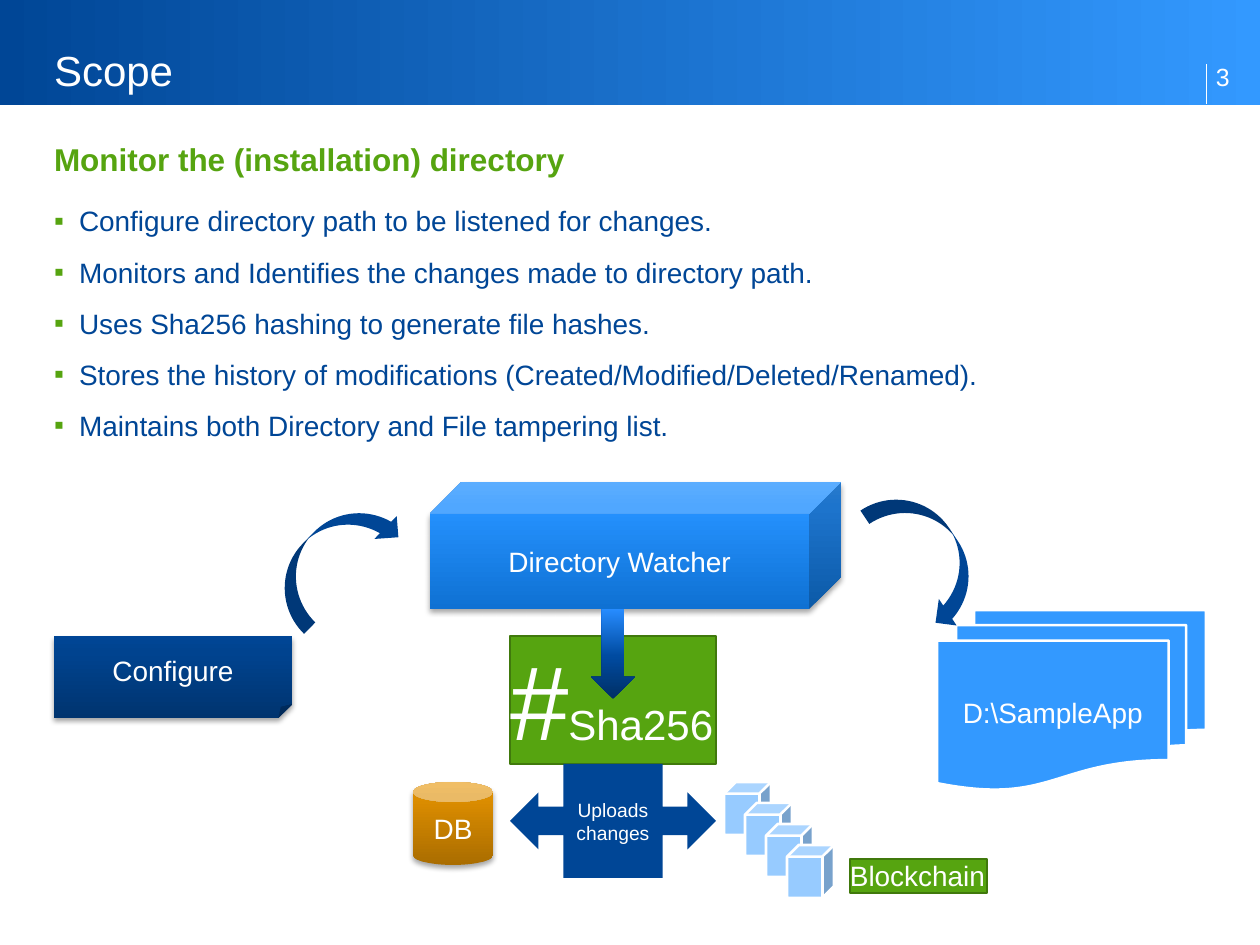
from dataclasses import dataclass

from lxml import etree
from pptx import Presentation
from pptx.dml.color import RGBColor
from pptx.enum.shapes import MSO_CONNECTOR, MSO_SHAPE
from pptx.enum.text import MSO_ANCHOR, MSO_AUTO_SIZE, PP_ALIGN
from pptx.oxml import parse_xml
from pptx.oxml.ns import qn
from pptx.util import Pt


@dataclass(frozen=True)
class Theme:
    font: str = "Arial"
    white: str = "FFFFFF"
    navy: str = "004696"
    sky: str = "3399FF"
    pale: str = "97CBFF"
    green: str = "56A410"
    edge: str = "40790C"
    banner: tuple = ((0, "004696"), (100, "3399FF"))
    blue_shade: tuple = ((0, "0F71D3"), (80, "2592FF"), (100, "3399FF"))
    navy_shade: tuple = ((0, "00346F"), (80, "00438F"), (100, "004696"))
    amber_shade: tuple = ((0, "AA6D00"), (80, "DC8D00"), (100, "E69400"))
    arrow_shade: tuple = ((0, "002F65"), (48, "004BA1"), (100, "278CFF"))
    title: float = 24
    heading: float = 18
    body: float = 16
    number: float = 14.2
    small: float = 11
    symbol: float = 60


THEME = Theme()
EMU_PER_PX = 914400 / 126
DRAWING_NS = "http://schemas.openxmlformats.org/drawingml/2006/main"

TITLE = "Scope"
HEADING = "Monitor the (installation) directory"
PAGE_NUMBER = "3"
POINTS = [
    "Configure directory path to be listened for changes.",
    "Monitors and Identifies the changes made to directory path.",
    "Uses Sha256 hashing to generate file hashes.",
    "Stores the history of modifications (Created/Modified/Deleted/Renamed).",
    "Maintains both Directory and File tampering list.",
]
RAISED_NODES = [
    (MSO_SHAPE.CUBE, (430, 482, 411, 127), THEME.blue_shade, "Directory Watcher"),
    (MSO_SHAPE.FOLDED_CORNER, (54, 636, 238, 82), THEME.navy_shade, "Configure"),
    (MSO_SHAPE.CAN, (413, 782, 80, 83), THEME.amber_shade, "DB"),
]
FOLDER = ((937, 610, 269, 180), "D:\\SampleApp")
CHAIN_START, CHAIN_STEP, CHAIN_SIZE, CHAIN_COUNT = (724, 782), 21, (47, 53), 4
TAGS = [
    ((510, 636, 206, 128), [("#", THEME.symbol), ("Sha256", THEME.title)]),
    ((850, 859, 137, 34), [("Blockchain", THEME.body)]),
]
CURVES = [((302, 482, 64, 151), 44.3), ((897, 480, 64, 151), 146.2)]
DOWN_ARROW = (591, 609, 44, 90)
UPLOAD = ((510, 764, 206, 114), "Uploads changes")

deck = Presentation()


def px(value):
    return round(value * EMU_PER_PX)


def rgb(code):
    return RGBColor.from_string(code)


def style_span(span, size, color=THEME.white, bold=False):
    span.font.name = THEME.font
    span.font.size = Pt(size)
    span.font.color.rgb = rgb(color)
    span.font.bold = bold


def set_insets(frame, left=0, top=0, right=0, bottom=0):
    frame.margin_left, frame.margin_top = px(left), px(top)
    frame.margin_right, frame.margin_bottom = px(right), px(bottom)


def fill_gradient(shape, stops, angle):
    shape.fill.gradient()
    gradient = shape._element.spPr.find(qn("a:gradFill"))
    marks = "".join(
        f'<a:gs pos="{position * 1000}"><a:srgbClr val="{color}"/></a:gs>'
        for position, color in stops
    )
    gradient.getparent().replace(gradient, parse_xml(
        f'<a:gradFill xmlns:a="{DRAWING_NS}" rotWithShape="1"><a:gsLst>{marks}</a:gsLst>'
        f'<a:lin ang="{angle * 60000}" scaled="0"/></a:gradFill>'
    ))


def add_shape(page, kind, area, fill, line=None, width=0, angle=270):
    shape = page.shapes.add_shape(kind, *map(px, area))
    shape.shadow.inherit = False
    if isinstance(fill, tuple):
        fill_gradient(shape, fill, angle)
    else:
        shape.fill.solid()
        shape.fill.fore_color.rgb = rgb(fill)
    if line:
        shape.line.color.rgb = rgb(line)
        shape.line.width = Pt(width)
    else:
        shape.line.fill.background()
    return shape


def add_label(shape, text, size=THEME.body):
    frame = shape.text_frame
    frame.text = text
    frame.word_wrap = True
    frame.vertical_anchor = MSO_ANCHOR.MIDDLE
    para = frame.paragraphs[0]
    para.alignment = PP_ALIGN.CENTER
    style_span(para.runs[0], size)


def add_shadow(shape):
    effects = shape._element.spPr.find(qn("a:effectLst"))
    effects.append(parse_xml(
        f'<a:outerShdw xmlns:a="{DRAWING_NS}" blurRad="{Pt(3.1)}" dist="{Pt(2)}" '
        'dir="5400000" rotWithShape="0"><a:srgbClr val="000000">'
        '<a:alpha val="35000"/></a:srgbClr></a:outerShdw>'
    ))


def add_text(page, area, lines, size, color, insets, anchor=MSO_ANCHOR.TOP, bold=False):
    frame = page.shapes.add_textbox(*map(px, area)).text_frame
    frame.text = "\n".join(lines)
    frame.word_wrap = True
    frame.vertical_anchor = anchor
    set_insets(frame, **insets)
    for para in frame.paragraphs:
        style_span(para.runs[0], size, color, bold)
    return frame


def set_spacing(para):
    para.space_before, para.space_after = Pt(4), Pt(6)


def add_bullet(para):
    set_spacing(para)
    properties = para._p.get_or_add_pPr()
    properties.set("marL", str(px(25)))
    properties.set("indent", str(px(-25)))
    color = etree.SubElement(properties, qn("a:buClr"))
    etree.SubElement(color, qn("a:srgbClr"), val=THEME.green)
    etree.SubElement(properties, qn("a:buFont"), typeface=THEME.font)
    etree.SubElement(properties, qn("a:buChar"), char="▪")


def add_tag(page, area, parts):
    tag = add_shape(page, MSO_SHAPE.RECTANGLE, area, THEME.green, THEME.edge)
    frame = tag.text_frame
    set_insets(frame)
    frame.word_wrap = False
    frame.auto_size = MSO_AUTO_SIZE.SHAPE_TO_FIT_TEXT
    frame.vertical_anchor = MSO_ANCHOR.TOP
    para = frame.paragraphs[0]
    para.alignment = PP_ALIGN.LEFT
    set_spacing(para)
    for text, size in parts:
        span = para.add_run()
        span.text = text
        style_span(span, size)


def add_header(page):
    add_shape(page, MSO_SHAPE.RECTANGLE, (0, 0, 1260, 105), THEME.banner, angle=0)
    rule = page.shapes.add_connector(MSO_CONNECTOR.STRAIGHT, *map(px, (1206, 104, 1206, 64)))
    rule.line.color.rgb = rgb(THEME.white)
    rule.line.width = Pt(0.5)
    etree.SubElement(rule._element.spPr, qn("a:effectLst"))
    title = add_text(page, (54, 26, 953, 79), [TITLE], THEME.title, THEME.white,
                     {"bottom": 10}, MSO_ANCHOR.BOTTOM)
    title.paragraphs[0].line_spacing = Pt(26)
    add_text(page, (1206, 45, 54, 60), [PAGE_NUMBER], THEME.number, THEME.white,
             {"left": 10, "bottom": 14}, MSO_ANCHOR.BOTTOM)


def add_points(page):
    add_text(page, (54, 140, 1152, 45), [HEADING], THEME.heading, THEME.green,
             {"bottom": 10}, bold=True)
    body = add_text(page, (54, 204, 1152, 674), POINTS, THEME.body, THEME.navy, {})
    for para in body.paragraphs:
        add_bullet(para)


def add_diagram(page):
    for kind, area, shade, text in RAISED_NODES:
        node = add_shape(page, kind, area, shade)
        add_shadow(node)
        add_label(node, text)
    area, text = FOLDER
    add_label(add_shape(page, MSO_SHAPE.FLOWCHART_MULTIDOCUMENT, area, THEME.sky,
                        THEME.white, 1.5), text)
    for index in range(CHAIN_COUNT):
        corner = tuple(start + index * CHAIN_STEP for start in CHAIN_START)
        add_shape(page, MSO_SHAPE.CUBE, corner + CHAIN_SIZE, THEME.pale, THEME.white, 1.5)
    for area, parts in TAGS:
        add_tag(page, area, parts)
    for area, rotation in CURVES:
        curve = add_shape(page, MSO_SHAPE.CURVED_RIGHT_ARROW, area, THEME.navy)
        curve.rotation = rotation
        curve._element.spPr.find(qn("a:xfrm")).set("flipV", "1")
    add_shape(page, MSO_SHAPE.DOWN_ARROW, DOWN_ARROW, THEME.arrow_shade)
    area, text = UPLOAD
    add_label(add_shape(page, MSO_SHAPE.LEFT_RIGHT_ARROW_CALLOUT, area, THEME.navy),
              text, THEME.small)


def main():
    deck.slide_width, deck.slide_height = px(1260), px(945)
    page = deck.slides.add_slide(deck.slide_layouts[6])
    add_header(page)
    add_points(page)
    add_diagram(page)
    deck.save("out.pptx")


if __name__ == "__main__":
    main()
